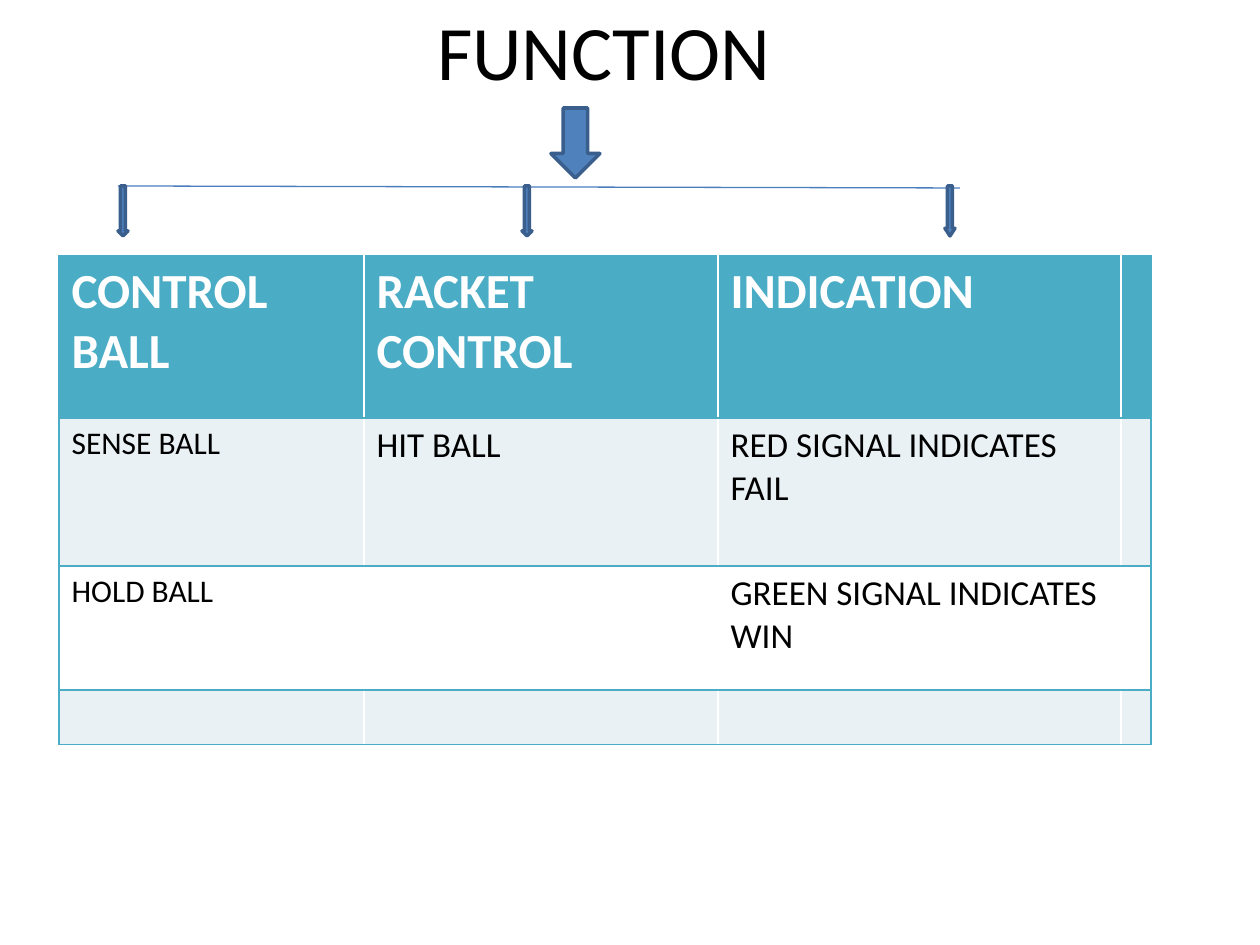
from lxml import etree
from pptx import Presentation
from pptx.dml.color import RGBColor
from pptx.enum.shapes import MSO_CONNECTOR, MSO_SHAPE
from pptx.enum.text import MSO_ANCHOR, PP_ALIGN
from pptx.oxml.ns import qn
from pptx.util import Pt

PX = 914400 // 126
DOWN_ARROW = MSO_SHAPE.DOWN_ARROW
STRAIGHT = MSO_CONNECTOR.STRAIGHT
MIDDLE, TOP = MSO_ANCHOR.MIDDLE, MSO_ANCHOR.TOP
CENTER, LEFT = PP_ALIGN.CENTER, PP_ALIGN.LEFT

COLORS = {
    "text": "000000", "header_text": "FFFFFF", "arrow": "4F81BD",
    "arrow_line": "3A5F8C", "branch": "4B7EBC", "header": "4BACC6",
    "band": "E9F1F5", "plain": "FFFFFF", "border": "4BACC6",
}

TITLE = "FUNCTION"
TITLE_BOX = (49, -108, 1110, 315)
MAIN_ARROW = (551, 108, 49, 70)
BRANCH = (118, 186, 960, 188)
BRANCH_ARROWS = [(118, 0.5), (522, 0.5), (945, 0.76)]  # left, head length
BRANCH_ARROW_TOP, BRANCH_ARROW_WIDTH, BRANCH_ARROW_HEIGHT = 186, 10, 50

TABLE_LEFT, TABLE_TOP = 59, 256
COLUMN_WIDTHS = [305, 354, 403, 29]
ROW_HEIGHTS = [162, 148, 124, 51]
ROWS = [
    ["CONTROL\nBALL", "RACKET\nCONTROL", "INDICATION", ""],
    ["SENSE BALL", "HIT BALL", "RED SIGNAL INDICATES FAIL", ""],
    ["HOLD BALL", "", "GREEN SIGNAL INDICATES WIN", ""],
    ["", "", "", ""],
]
ROW_FILLS = ["header", "band", "plain", "band"]
HEADER_SIZE = 28
BODY_SIZES = [18, 20, 20, 18]


def px(*lengths):
    return [length * PX for length in lengths]


def rgb(name):
    return RGBColor.from_string(COLORS[name])


def write(frame, text, size, color="text", bold=False, align=LEFT, anchor=TOP):
    frame.word_wrap = True
    frame.vertical_anchor = anchor
    frame.text = text
    for paragraph in frame.paragraphs:
        paragraph.alignment = align
        paragraph.font.size = Pt(size)
        for run in paragraph.runs:
            run.font.name = "Calibri"
            run.font.size = Pt(size)
            run.font.bold = bold
            run.font.color.rgb = rgb(color)


def add_down_arrow(slide, box, head=0.5):
    arrow = slide.shapes.add_shape(DOWN_ARROW, *px(*box))
    arrow.adjustments[1] = head
    arrow.shadow.inherit = False
    arrow.fill.solid()
    arrow.fill.fore_color.rgb = rgb("arrow")
    arrow.line.color.rgb = rgb("arrow_line")
    arrow.line.width = Pt(2)


def add_borders(cell, sides):
    properties = cell._tc.get_or_add_tcPr()
    for side in sides:
        border = etree.SubElement(properties, qn(f"a:ln{side}"), w=str(Pt(1)))
        fill = etree.SubElement(border, qn("a:solidFill"))
        etree.SubElement(fill, qn("a:srgbClr"), val=COLORS["border"])


def add_function_table(slide):
    box = px(TABLE_LEFT, TABLE_TOP, sum(COLUMN_WIDTHS), sum(ROW_HEIGHTS))
    table = slide.shapes.add_table(len(ROWS), len(COLUMN_WIDTHS), *box).table
    for column, width in zip(table.columns, COLUMN_WIDTHS):
        column.width = width * PX
    for row, height in zip(table.rows, ROW_HEIGHTS):
        row.height = height * PX
    last = len(COLUMN_WIDTHS) - 1
    for r, (texts, fill) in enumerate(zip(ROWS, ROW_FILLS)):
        for c, text in enumerate(texts):
            cell = table.cell(r, c)
            if r == 0:
                write(cell.text_frame, text, HEADER_SIZE, "header_text", bold=True)
            else:
                write(cell.text_frame, text, BODY_SIZES[c])
            add_borders(cell, {0: "LTB", last: "RTB"}.get(c, "TB"))
            cell.fill.solid()
            cell.fill.fore_color.rgb = rgb(fill)


def main():
    deck = Presentation()
    deck.slide_width, deck.slide_height = px(1260, 945)
    slide = deck.slides.add_slide(deck.slide_layouts[6])

    title = slide.shapes.add_textbox(*px(*TITLE_BOX))
    write(title.text_frame, TITLE, 44, align=CENTER, anchor=MIDDLE)

    add_down_arrow(slide, MAIN_ARROW)
    branch = slide.shapes.add_connector(STRAIGHT, *px(*BRANCH))
    branch.line.color.rgb = rgb("branch")
    branch.line.width = Pt(0.75)
    etree.SubElement(branch._element.spPr, qn("a:effectLst"))
    for left, head in BRANCH_ARROWS:
        box = (left, BRANCH_ARROW_TOP, BRANCH_ARROW_WIDTH, BRANCH_ARROW_HEIGHT)
        add_down_arrow(slide, box, head)

    add_function_table(slide)
    deck.save("out.pptx")


if __name__ == "__main__":
    main()
